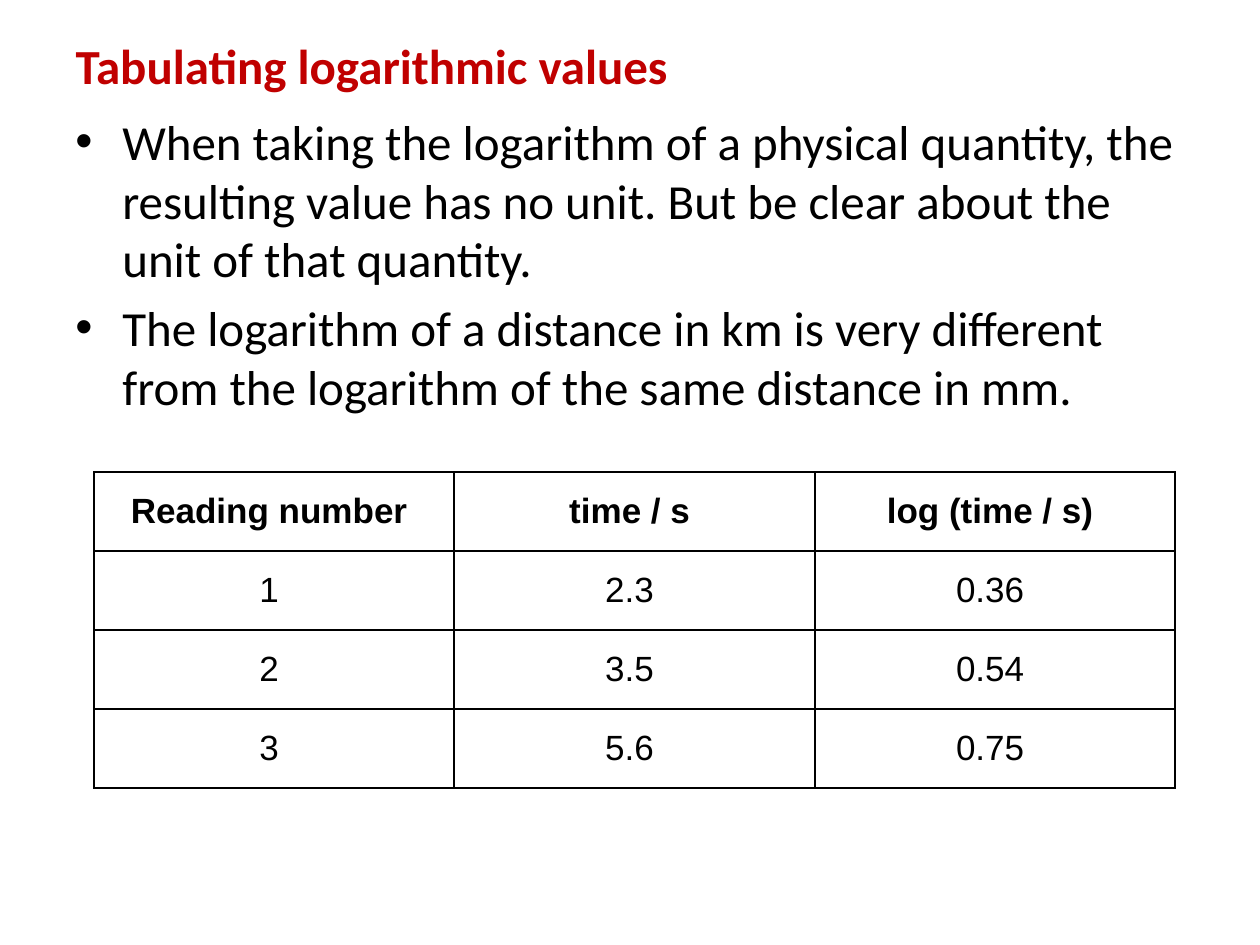
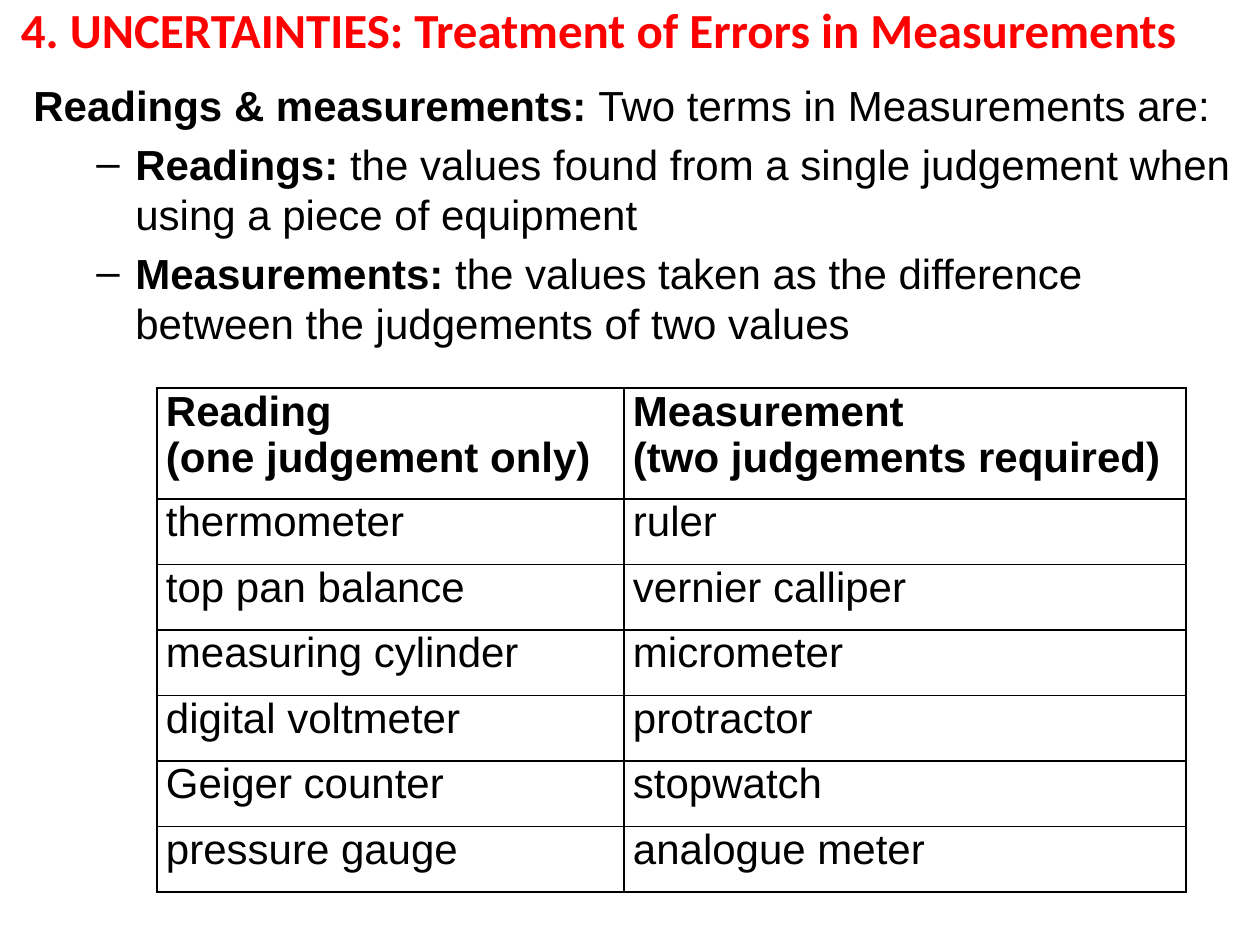
"""Build two slides on tabulating logarithms and on readings versus measurements."""
from dataclasses import dataclass

from lxml import etree
from pptx import Presentation
from pptx.dml.color import RGBColor
from pptx.enum.text import MSO_ANCHOR, MSO_AUTO_SIZE, PP_ALIGN
from pptx.oxml.ns import qn
from pptx.util import Pt

LEFT, CENTER, JUSTIFY = PP_ALIGN.LEFT, PP_ALIGN.CENTER, PP_ALIGN.JUSTIFY
TOP, MIDDLE = MSO_ANCHOR.TOP, MSO_ANCHOR.MIDDLE
FIXED = MSO_AUTO_SIZE.NONE
TITLE_ONLY = 5
EMU_PER_PIXEL = 914400 / 126


def px(length):
    """Turn pixels into EMU."""
    return round(length * EMU_PER_PIXEL)


def apply(target, values):
    """Set each named attribute on the target."""
    for name, value in values.items():
        setattr(target, name, value)


@dataclass(frozen=True)
class Theme:
    """Colours, fonts, sizes and insets shared by the slides."""
    ink: str = "000000"
    dark_red: str = "C00000"
    red: str = "FF0000"
    heading_font: str = "Calibri"
    plain_font: str = "Arial"
    large: int = 28
    medium: int = 24
    small: int = 20
    rule: int = 1
    cell_inset: int = 9


class Deck:
    """Hold the theme and the current slide and add elements to it."""

    def __init__(self, theme):
        """Start an empty 10 by 7.5 inch presentation."""
        self.theme = theme
        self.presentation = Presentation()
        apply(self.presentation, {"slide_width": px(1260), "slide_height": px(945)})
        self.slide = None

    def place(self, shape, box):
        """Move and size a shape to a pixel box."""
        apply(shape, dict(zip(("left", "top", "width", "height"), map(px, box))))

    def style(self, font, name, size, color, bold):
        """Format one font."""
        apply(font, {"name": name, "size": Pt(size), "bold": bold})
        font.color.rgb = RGBColor.from_string(color)

    def title(self, text, box, color, align):
        """Add a title-only slide and format its title."""
        layout = self.presentation.slide_layouts[TITLE_ONLY]
        self.slide = self.presentation.slides.add_slide(layout)
        heading = self.slide.shapes.title
        self.place(heading, box)
        frame = heading.text_frame
        frame.text = text
        apply(frame, {"word_wrap": True, "auto_size": FIXED, "vertical_anchor": MIDDLE})
        line = frame.paragraphs[0]
        line.alignment = align
        self.style(line.runs[0].font, self.theme.heading_font, self.theme.large, color, True)

    def bullet(self, paragraph, mark, margin, hang):
        """Give a paragraph a hanging indent and, if named, a bullet mark."""
        properties = paragraph._p.get_or_add_pPr()
        properties.set("marL", str(px(margin)))
        properties.set("indent", str(-px(hang)))
        if mark:
            etree.SubElement(properties, qn("a:buFont")).set("typeface", self.theme.plain_font)
            etree.SubElement(properties, qn("a:buChar")).set("char", mark)

    def body(self, points, box, font, size):
        """Add points given as level, mark, bold lead and plain text."""
        frame = self.slide.shapes.add_textbox(*map(px, box)).text_frame
        apply(frame, {"word_wrap": True, "auto_size": FIXED, "vertical_anchor": TOP})
        indents = ((47, 47), (102, 39))
        for number, (level, mark, lead, text) in enumerate(points):
            point = frame.add_paragraph() if number else frame.paragraphs[0]
            apply(point, {"level": level, "alignment": LEFT, "space_before": Pt(size * 0.2)})
            self.bullet(point, mark, *indents[level])
            for words, bold in ((lead, True), (text, False)):
                if words:
                    run = point.add_run()
                    run.text = words
                    self.style(run.font, font, size, self.theme.ink, bold)

    def border(self, cell):
        """Rule all four sides of a cell."""
        properties = cell._tc.get_or_add_tcPr()
        for side in ("lnL", "lnR", "lnT", "lnB"):
            line = etree.SubElement(properties, qn(f"a:{side}"), w=str(Pt(self.theme.rule)))
            fill = etree.SubElement(line, qn("a:solidFill"))
            etree.SubElement(fill, qn("a:srgbClr")).set("val", self.theme.ink)

    def cell(self, cell, text, size, bold, line_format):
        """Fill in and format one table cell."""
        inset = px(self.theme.cell_inset)
        apply(cell, {"margin_left": inset, "margin_right": inset, "margin_top": 0,
                     "margin_bottom": 0, "vertical_anchor": TOP})
        self.border(cell)
        cell.fill.background()
        cell.text_frame.text = text
        for line in cell.text_frame.paragraphs:
            apply(line, line_format)
            self.style(line.runs[0].font, self.theme.plain_font, size, self.theme.ink, bold)

    def table(self, rows, box, widths, header_height, size, line_format):
        """Add a ruled table with a bold header and equal rows below it."""
        grid = self.slide.shapes.add_table(len(rows), len(widths), *map(px, box)).table
        apply(grid, {"first_row": False, "horz_banding": False})
        for column, width in zip(grid.columns, widths):
            column.width = px(width)
        row_height = (box[3] - header_height) / (len(rows) - 1)
        for number, texts in enumerate(rows):
            header = number == 0
            grid.rows[number].height = px(header_height if header else row_height)
            for cell, text in zip(grid.rows[number].cells, texts):
                self.cell(cell, text, size, header, line_format)


LOGARITHM_POINTS = (
    (0, "•", "", "When taking the logarithm of a physical quantity, the resulting value has "
     "no unit. But be clear about the unit of that quantity."),
    (0, "•", "", "The logarithm of a distance in km is very different from the logarithm of "
     "the same distance in mm."),
)
LOGARITHM_ROWS = (
    ("Reading number ", "time / s ", "log (time / s) "),
    ("1 ", "2.3 ", "0.36 "),
    ("2 ", "3.5 ", "0.54 "),
    ("3 ", "5.6 ", "0.75 "),
)
JUDGEMENT_POINTS = (
    (0, "", "Readings & measurements: ", "Two terms in Measurements are:"),
    (1, "–", "Readings: ", "the values found from a single judgement when using a piece of "
     "equipment"),
    (1, "–", "Measurements: ", "the values taken as the difference between the judgements of "
     "two values"),
)
INSTRUMENT_ROWS = (
    ("Reading\n(one judgement only)", "Measurement\n(two judgements required)"),
    ("thermometer", "ruler"),
    ("top pan balance", "vernier calliper"),
    ("measuring cylinder", "micrometer"),
    ("digital voltmeter", "protractor"),
    ("Geiger counter", "stopwatch"),
    ("pressure gauge", "analogue meter"),
)

theme = Theme()
deck = Deck(theme)

deck.title("Tabulating logarithmic values", (63, 21, 672, 88), theme.dark_red, LEFT)
deck.body(LOGARITHM_POINTS, (63, 105, 1134, 325), theme.heading_font, theme.large)
deck.table(LOGARITHM_ROWS, (94, 472, 1081, 316), (360, 361, 360), 79, theme.small,
           {"alignment": CENTER, "line_spacing": 1.5})

deck.title("4. UNCERTAINTIES: Treatment of Errors in Measurements", (0, -10, 1197, 78),
           theme.red, CENTER)
deck.body(JUDGEMENT_POINTS, (21, 73, 1229, 273), theme.plain_font, theme.medium)
deck.table(INSTRUMENT_ROWS, (157, 388, 1029, 504), (467, 562), 111, theme.medium,
           {"alignment": JUSTIFY})

deck.presentation.save("out.pptx")
